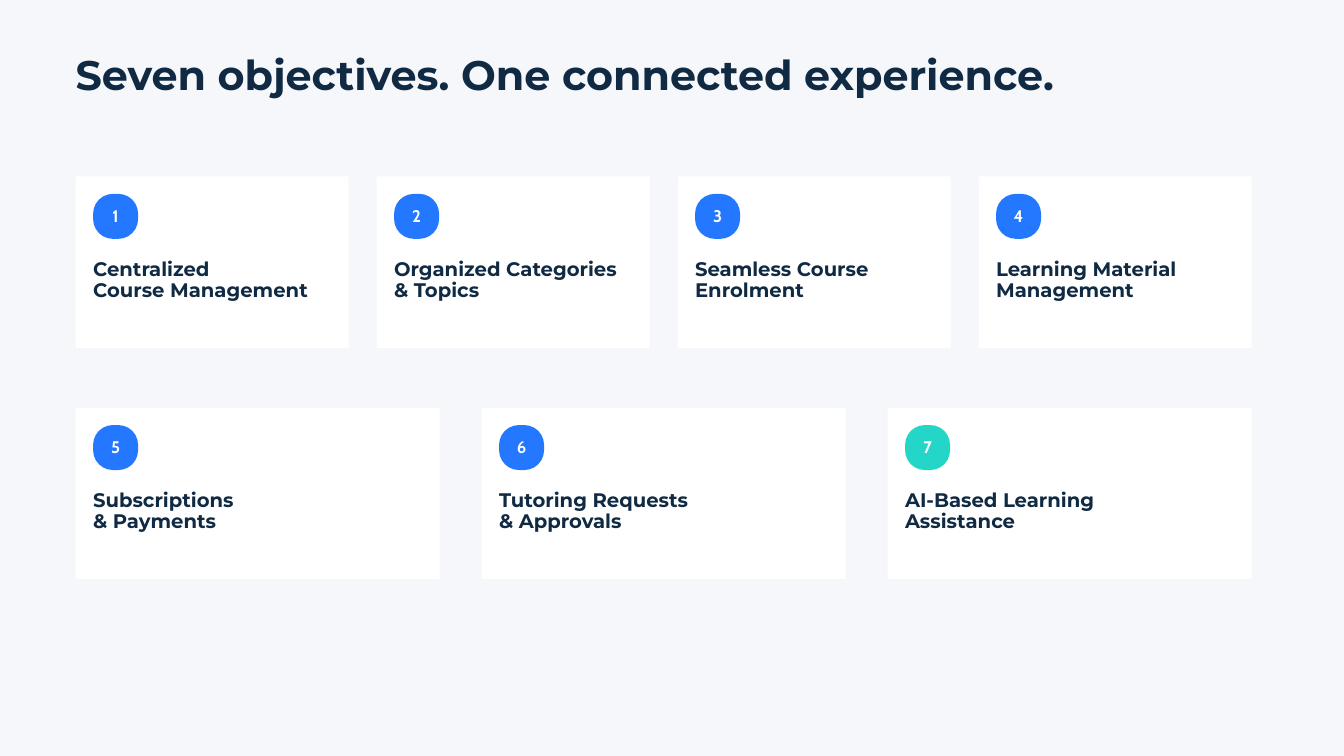
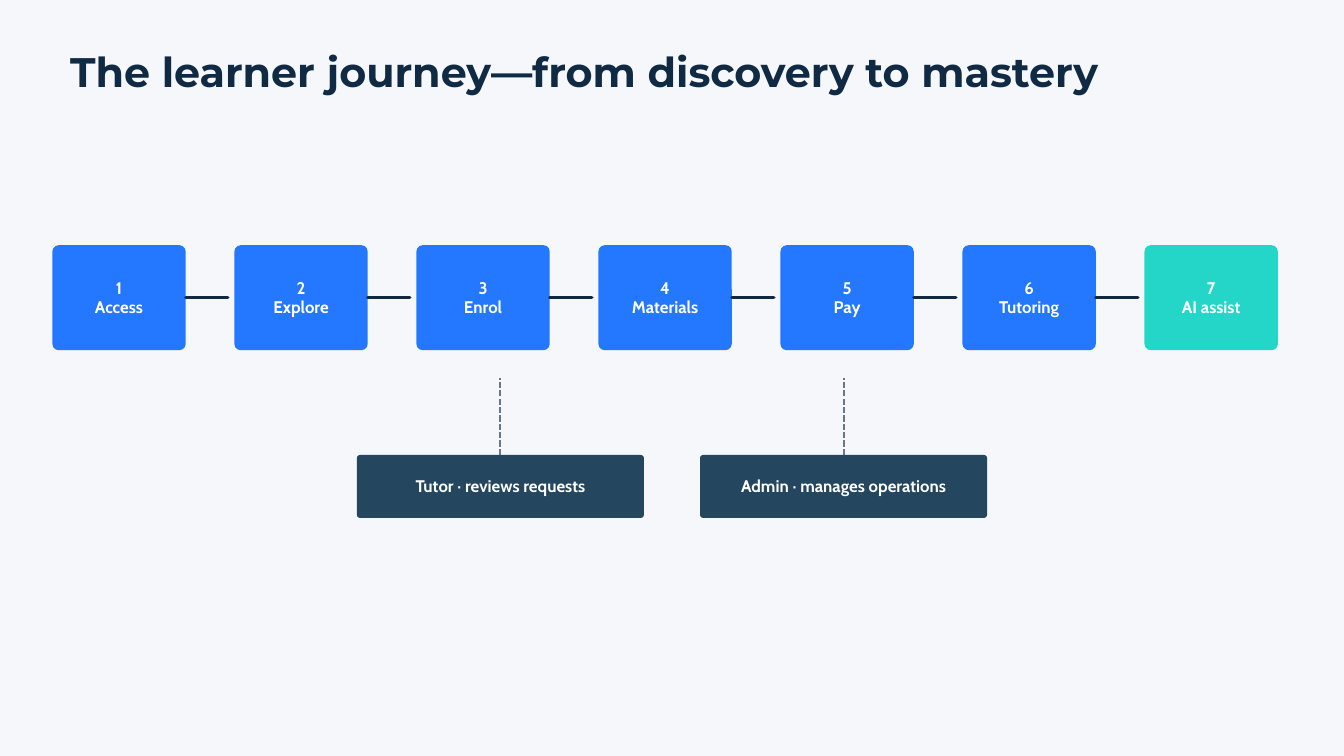
import pptx
import pptx.dml.color
import pptx.enum.dml
import pptx.enum.shapes
import pptx.enum.text
import pptx.oxml.ns
import pptx.util
from lxml import etree

Cm = pptx.util.Cm
Pt = pptx.util.Pt
RGBColor = pptx.dml.color.RGBColor
SHAPE = pptx.enum.shapes.MSO_SHAPE
ALIGN = pptx.enum.text.PP_ALIGN
ANCHOR = pptx.enum.text.MSO_ANCHOR

# Palette
PAPER = RGBColor(0xF5, 0xF7, 0xFB)
WHITE = RGBColor(0xFF, 0xFF, 0xFF)
NAVY = RGBColor(0x10, 0x2A, 0x43)
BLUE = RGBColor(0x24, 0x77, 0xFF)
TEAL = RGBColor(0x24, 0xD6, 0xC8)
SLATE = RGBColor(0x24, 0x46, 0x5F)
GREY = RGBColor(0x66, 0x78, 0x8A)

# Text styles: font, size, line spacing, colour
TITLE = ("Montserrat", 44.2, 46.5, NAVY)
CARD_LABEL = ("Montserrat", 21, 22.1, NAVY)
ON_COLOUR = ("Cabin", 18, 20.7, WHITE)

# Objectives grid, in centimetres
GRID_LEFT, GRID_WIDTH = 2.86, 44.45
CARDS_WIDTH, CARD_HEIGHT = 41.28, 6.48
CARD_PADDING, BADGE_SIZE, LABEL_DROP = 0.66, 1.7, 3.15
OBJECTIVE_ROWS = [
    (6.67, [
        ("Centralized", "Course Management"),
        ("Organized Categories", "& Topics"),
        ("Seamless Course", "Enrolment"),
        ("Learning Material", "Management"),
    ]),
    (15.41, [
        ("Subscriptions", "& Payments"),
        ("Tutoring Requests", "& Approvals"),
        ("AI-Based Learning", "Assistance"),
    ]),
]

# Journey row, in centimetres
STEPS = ["Access", "Explore", "Enrol", "Materials", "Pay", "Tutoring", "AI assist"]
STEP_LEFT, STEP_TOP, STEP_PITCH = 1.98, 9.27, 6.88
STEP_WIDTH, STEP_HEIGHT, LINK_LENGTH = 5.04, 3.97, 1.59
ROLES = ["Tutor · reviews requests", "Admin · manages operations"]
ROLE_LEFT, ROLE_TOP, ROLE_PITCH = 13.49, 17.2, 12.97
ROLE_WIDTH, ROLE_HEIGHT, STEM_TOP = 10.85, 2.38, 14.28


def accent(number):
    """The seventh item, the AI one, stands out in teal."""
    return TEAL if number == 7 else BLUE


def write_lines(frame, lines, style, align=ALIGN.LEFT, anchor=ANCHOR.TOP, inset=0.0):
    font, size, spacing, colour = style
    frame.word_wrap = True
    frame.vertical_anchor = anchor
    frame.margin_left = frame.margin_right = Cm(inset)
    frame.margin_top = frame.margin_bottom = Cm(inset)
    for index, line in enumerate(lines):
        para = frame.paragraphs[0] if index == 0 else frame.add_paragraph()
        para.alignment = align
        para.line_spacing = Pt(spacing)
        span = para.add_run()
        span.text = line
        span.font.name = font
        span.font.size = Pt(size)
        span.font.bold = True
        span.font.color.rgb = colour


def add_text(page, left, top, width, height, lines, style):
    box = page.shapes.add_textbox(Cm(left), Cm(top), Cm(width), Cm(height))
    write_lines(box.text_frame, lines, style)


def add_block(page, left, top, width, height, fill, radius=0.0, lines=()):
    """A filled block, rounded by a share of its short side, with centred text."""
    kind = SHAPE.ROUNDED_RECTANGLE if radius else SHAPE.RECTANGLE
    block = page.shapes.add_shape(kind, Cm(left), Cm(top), Cm(width), Cm(height))
    if radius:
        block.adjustments[0] = radius
    block.shadow.inherit = False
    block.fill.solid()
    block.fill.fore_color.rgb = fill
    block.line.fill.background()
    write_lines(block.text_frame, lines, ON_COLOUR, ALIGN.CENTER, ANCHOR.MIDDLE, 0.15)


def add_line(page, start, end, colour, weight, dash=None, cap="flat"):
    line = page.shapes.add_connector(
        pptx.enum.shapes.MSO_CONNECTOR.STRAIGHT, *map(Cm, start + end))
    line.line.color.rgb = colour
    line.line.width = Pt(weight)
    if dash:
        line.line.dash_style = dash
    properties = line._element.spPr
    properties.get_or_add_ln().set("cap", cap)
    etree.SubElement(properties, pptx.oxml.ns.qn("a:effectLst"))


def add_page(deck, title, left, top):
    page = deck.slides.add_slide(deck.slide_layouts[6])
    page.background.fill.solid()
    page.background.fill.fore_color.rgb = PAPER
    add_text(page, left, top, 39.69, 1.64, [title], TITLE)
    return page


def add_card(page, left, top, width, number, lines):
    add_block(page, left, top, width, CARD_HEIGHT, WHITE)
    inner = left + CARD_PADDING
    add_block(page, inner, top + CARD_PADDING, BADGE_SIZE, BADGE_SIZE,
              accent(number), 0.44, [str(number)])
    add_text(page, inner, top + LABEL_DROP, width, 1.57, lines, CARD_LABEL)


def build_objectives(deck):
    page = add_page(deck, "Seven objectives. One connected experience.", GRID_LEFT, 2.11)
    number = 0
    for top, labels in OBJECTIVE_ROWS:
        width = CARDS_WIDTH / len(labels)
        gap = (GRID_WIDTH - CARDS_WIDTH) / (len(labels) - 1)
        for column, lines in enumerate(labels):
            number += 1
            add_card(page, GRID_LEFT + column * (width + gap), top, width, number, lines)


def build_journey(deck):
    page = add_page(deck, "The learner journey—from discovery to mastery", 2.65, 1.98)

    # Steps, each linked towards the next
    middle = STEP_TOP + STEP_HEIGHT / 2
    for number, step in enumerate(STEPS, start=1):
        left = STEP_LEFT + (number - 1) * STEP_PITCH
        right = left + STEP_WIDTH
        add_block(page, left, STEP_TOP, STEP_WIDTH, STEP_HEIGHT,
                  accent(number), 0.06, [str(number), step])
        if number < len(STEPS):
            add_line(page, (right, middle), (right + LINK_LENGTH, middle),
                     NAVY, 3.75, cap="rnd")

    # Supporting roles on dashed stems
    for index, role in enumerate(ROLES):
        left = ROLE_LEFT + index * ROLE_PITCH
        centre = left + ROLE_WIDTH / 2
        add_block(page, left, ROLE_TOP, ROLE_WIDTH, ROLE_HEIGHT, SLATE, 0.05, [role])
        add_line(page, (centre, ROLE_TOP), (centre, STEM_TOP), GREY, 2.25,
                 pptx.enum.dml.MSO_LINE.SQUARE_DOT)


def main():
    deck = pptx.Presentation()
    deck.slide_width, deck.slide_height = Cm(50.8), Cm(28.58)
    build_objectives(deck)
    build_journey(deck)
    deck.save("out.pptx")


if __name__ == "__main__":
    main()
